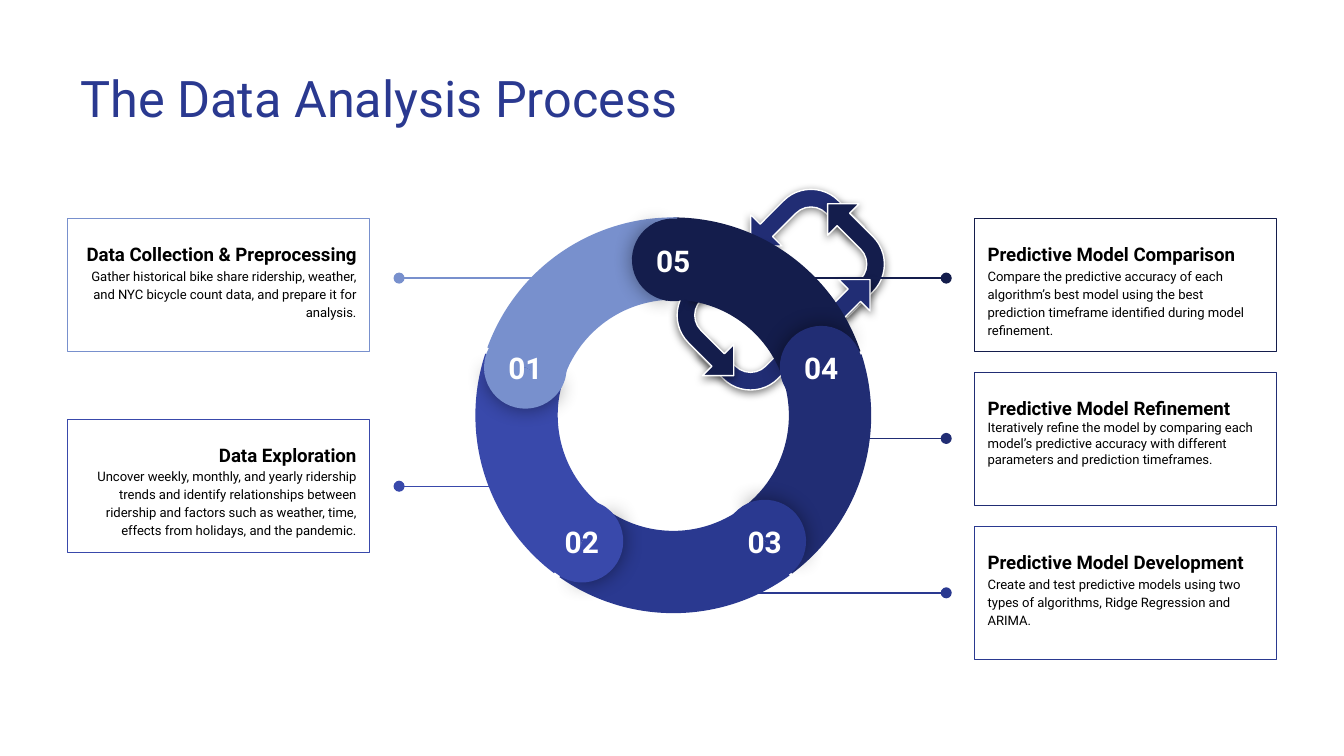
"""Build the data analysis process slide: a five-step ring with callout cards."""
from dataclasses import dataclass
from math import cos, radians, sin
from typing import Optional

from lxml.etree import SubElement
from pptx import Presentation
from pptx.dml.color import RGBColor
from pptx.enum.shapes import MSO_CONNECTOR as Link, MSO_SHAPE as Preset
from pptx.enum.text import MSO_ANCHOR as Anchor, PP_ALIGN as Align
from pptx.oxml.ns import qn
from pptx.util import Pt

WHITE = RGBColor(0xFF, 0xFF, 0xFF)
BLACK = RGBColor(0x00, 0x00, 0x00)
SKY = RGBColor(0x78, 0x90, 0xCD)
INDIGO = RGBColor(0x39, 0x49, 0xAB)
ROYAL = RGBColor(0x2A, 0x39, 0x90)
NAVY = RGBColor(0x21, 0x2D, 0x74)
MIDNIGHT = RGBColor(0x14, 0x1D, 0x4C)

FONT = "Roboto"
LINE_WIDTH = 0.75
RING_X, RING_Y = 360.7, 222.5
RING_SIZE, CAP_SIZE, CAP_RADIUS = 212, 44.3, 83.3
LOOP_X, LOOP_Y = 418.3, 155.2
CARD_WIDTH, CARD_HEIGHT = 162, 71.3
LEFT_CARD, RIGHT_CARD = 36, 522
LEFT_DOT, RIGHT_DOT = 213.8, 506.9
FIRST_TOP, RIGHT_PITCH = 117.1, 82.5

ARC_SHAPE = (126.025, 168.677, 0.208)
CAP_SHADED = (61.904, 149.962)
CAP_PLAIN = (40.283, 171.837)
ARROW_SHAPE = (0.199, 0.25, 0.25, 0.438)


@dataclass(frozen=True)
class Shadow:
    """Outer shadow: opacity in percent, blur and distance in points, direction in degrees."""
    opacity: int
    blur: float
    distance: float
    direction: int


ARROW_SHADOW = Shadow(50, 4.5, 1.5, 90)
CAP_SHADOW = Shadow(43, 11.2, 0, 0)


@dataclass(frozen=True)
class Step:
    """One stage of the process with its ring segment, line and card."""
    title: str
    body: str
    color: RGBColor
    arc_turn: float
    card_top: float
    line_start: float
    line_y: float
    on_left: bool = False
    body_spacing: Optional[float] = 1.15
    body_after: Optional[int] = 16


@dataclass(frozen=True)
class LoopArrow:
    """A bent arrow placed relative to the centre of the loop."""
    dx: float
    dy: float
    turn: int
    color: RGBColor


STEPS = (
    Step("Data Collection & Preprocessing",
         "Gather historical bike share ridership, weather, and NYC bicycle count data, "
         "and prepare it for analysis.",
         SKY, 350, FIRST_TOP, 306.7, 149, on_left=True),
    Step("Data Exploration",
         "Uncover weekly, monthly, and yearly ridership trends and identify relationships "
         "between ridership and factors such as weather, time, effects from holidays, "
         "and the pandemic.",
         INDIGO, 277, 224.7, 284.4, 260.5, on_left=True),
    Step("Predictive Model Development",
         "Create and test predictive models using two types of algorithms, "
         "Ridge Regression and ARIMA.",
         ROYAL, 204, FIRST_TOP + 2 * RIGHT_PITCH, 367.2, 317.6),
    Step("Predictive Model Refinement",
         "Iteratively refine the model by comparing each model’s predictive accuracy "
         "with different parameters and prediction timeframes.",
         NAVY, 132, FIRST_TOP + RIGHT_PITCH, 439.9, 234.9,
         body_spacing=None, body_after=None),
    Step("Predictive Model Comparison",
         "Compare the predictive accuracy of each algorithm’s best model using the best "
         "prediction timeframe identified during model refinement.",
         MIDNIGHT, 60, FIRST_TOP, 409, 149),
)

LOOP_ARROWS = (
    LoopArrow(10.1, -32.8, 315, NAVY),
    LoopArrow(34.6, -19.8, 45, MIDNIGHT),
    LoopArrow(21.6, 4, 135, NAVY),
)


def add_shadow(shape, shadow: Shadow) -> None:
    """Give a shape a black outer shadow."""
    effects = shape._element.spPr.find(qn("a:effectLst"))
    outer = SubElement(effects, qn("a:outerShdw"), blurRad=str(Pt(shadow.blur)),
                       dist=str(Pt(shadow.distance)), dir=str(shadow.direction * 60000),
                       algn="bl", rotWithShape="0")
    color = SubElement(outer, qn("a:srgbClr"), val=str(BLACK))
    SubElement(color, qn("a:alpha"), val=str(shadow.opacity * 1000))


def add_piece(page, preset, x: float, y: float, width: float, height: float, turn: float,
              color: RGBColor, adjustments: tuple, shadow: Optional[Shadow] = None):
    """Draw a filled, turned preset shape centred on a point."""
    piece = page.shapes.add_shape(preset, Pt(x - width / 2), Pt(y - height / 2),
                                  Pt(width), Pt(height))
    for index, value in enumerate(adjustments):
        piece.adjustments[index] = value
    piece.rotation = turn % 360
    piece.fill.solid()
    piece.fill.fore_color.rgb = color
    piece.line.fill.background()
    piece.shadow.inherit = False
    if shadow:
        add_shadow(piece, shadow)
    return piece


def write(box, index: int, text: str, size: float, color: RGBColor, bold: bool = False,
          **layout) -> None:
    """Write one paragraph of a box, with paragraph settings given as keywords."""
    frame = box.text_frame
    para = frame.add_paragraph() if index else frame.paragraphs[0]
    span = para.add_run()
    span.text = text
    span.font.color.rgb = color
    for target, values in ((para, layout),
                           (span.font, {"name": FONT, "size": Pt(size), "bold": bold})):
        for name, value in values.items():
            setattr(target, name, value)


def set_frame(box, anchor) -> None:
    """Set wrapping, anchor and equal margins of a text frame."""
    margins = {f"margin_{side}": Pt(7.2) for side in ("left", "top", "right", "bottom")}
    for name, value in {"word_wrap": True, "vertical_anchor": anchor, **margins}.items():
        setattr(box.text_frame, name, value)


def add_label(page, left: float, top: float, width: float, height: float, text: str,
              size: float, color: RGBColor, anchor=Anchor.TOP, **style) -> None:
    """Add a text box with a single paragraph."""
    box = page.shapes.add_textbox(Pt(left), Pt(top), Pt(width), Pt(height))
    set_frame(box, anchor)
    write(box, 0, text, size, color, **style)


def add_loop(page) -> None:
    """Draw three bent arrows and their half-turn counterparts."""
    for sign, half_turn in ((1, 0), (-1, 180)):
        for arrow in LOOP_ARROWS:
            piece = add_piece(page, Preset.BENT_ARROW, LOOP_X + sign * arrow.dx,
                              LOOP_Y + sign * arrow.dy, 50.4, 47.5, arrow.turn + half_turn,
                              arrow.color, ARROW_SHAPE, ARROW_SHADOW)
            piece._element.spPr.find(qn("a:xfrm")).set("flipH", "1")
            piece.line.color.rgb = WHITE
            piece.line.width = Pt(LINE_WIDTH)


def add_cap(page, number: int, color: RGBColor) -> None:
    """Draw the numbered round end of a ring segment."""
    turn = 72 * (5 - number)
    x = RING_X + CAP_RADIUS * cos(radians(turn - 90))
    y = RING_Y + CAP_RADIUS * sin(radians(turn - 90))
    for angle, adjustments, shadow in ((turn - 4.5, CAP_SHADED, CAP_SHADOW),
                                       (turn + 175, CAP_PLAIN, None)):
        add_piece(page, Preset.PIE, x, y, CAP_SIZE, CAP_SIZE, angle, color, adjustments, shadow)
    add_label(page, x - 19.5, y - 16.4, 39, 20.2, f"{number:02d}", 16, WHITE,
              bold=True, alignment=Align.CENTER)


def add_callout(page, step: Step) -> None:
    """Draw the line with its dot and the outlined card of a step."""
    dot, left, align = ((LEFT_DOT, LEFT_CARD, Align.RIGHT) if step.on_left
                        else (RIGHT_DOT, RIGHT_CARD, Align.LEFT))
    line = page.shapes.add_connector(Link.STRAIGHT, Pt(step.line_start), Pt(step.line_y),
                                     Pt(dot), Pt(step.line_y))
    card = page.shapes.add_shape(Preset.RECTANGLE, Pt(left), Pt(step.card_top),
                                 Pt(CARD_WIDTH), Pt(CARD_HEIGHT))
    for shape in (line, card):
        shape.line.color.rgb = step.color
        shape.line.width = Pt(LINE_WIDTH)
    properties = line._element.spPr
    SubElement(properties.find(qn("a:ln")), qn("a:tailEnd"), type="oval")
    SubElement(properties, qn("a:effectLst"))
    card.fill.background()
    card.shadow.inherit = False
    set_frame(card, Anchor.TOP)
    write(card, 0, step.title, 10, BLACK, bold=True, alignment=align, line_spacing=1.5)
    write(card, 1, step.body, 7, BLACK, alignment=align, line_spacing=step.body_spacing,
          space_after=Pt(step.body_after) if step.body_after else None)


def main() -> None:
    """Build and save the slide."""
    deck = Presentation()
    deck.slide_width, deck.slide_height = Pt(720), Pt(405)
    page = deck.slides.add_slide(deck.slide_layouts[6])
    add_loop(page)
    add_label(page, 36, 32.4, 422.6, 39.6, "The Data Analysis Process", 27, ROYAL, Anchor.MIDDLE)
    for step in reversed(STEPS):
        add_piece(page, Preset.BLOCK_ARC, RING_X, RING_Y, RING_SIZE, RING_SIZE,
                  step.arc_turn, step.color, ARC_SHAPE)
    for number, step in enumerate(STEPS, 1):
        add_cap(page, number, step.color)
    for step in STEPS:
        add_callout(page, step)
    deck.save("out.pptx")


if __name__ == "__main__":
    main()
